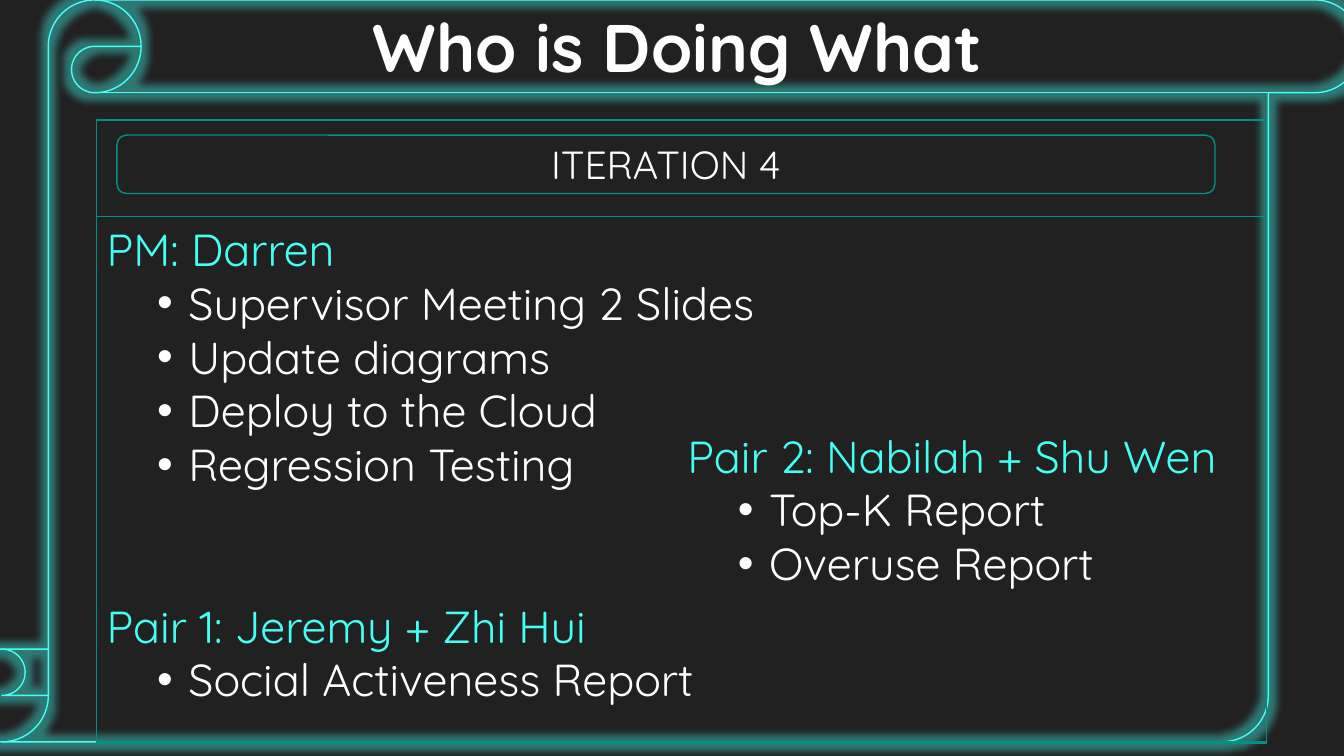
from dataclasses import dataclass

import pptx
import pptx.dml.color
import pptx.enum.shapes
import pptx.enum.text
import pptx.oxml
import pptx.util
from lxml import etree

Inches, Pt = pptx.util.Inches, pptx.util.Pt
SHAPE = pptx.enum.shapes.MSO_SHAPE
ALIGN = pptx.enum.text.PP_ALIGN
ANCHOR = pptx.enum.text.MSO_ANCHOR
A = "http://schemas.openxmlformats.org/drawingml/2006/main"


@dataclass(frozen=True)
class Theme:
    font: str = "Quicksand"
    background: str = "212121"
    text: str = "FFFFFF"
    accent: str = "44FFF5"
    frame: str = "00928A"
    title_size: int = 48
    heading_size: int = 28
    body_size: int = 32
    line_width: int = 1
    glow_radius: int = 11


THEME = Theme()


def rgb(value):
    return pptx.dml.color.RGBColor.from_string(value)


def add_outline(slide, preset, box, color):
    sp = slide.shapes.add_shape(preset, *map(Inches, box))
    sp.shadow.inherit = False
    sp.fill.background()
    sp.line.color.rgb = rgb(color)
    sp.line.width = Pt(THEME.line_width)
    return sp


def add_run(p, text, size, color, bold=False):
    r = p.add_run()
    r.text = text
    values = {"name": THEME.font, "size": Pt(size), "bold": bold}
    for name, value in values.items():
        setattr(r.font, name, value)
    r.font.color.rgb = rgb(color)


def add_bullet(p):
    pPr = p._p.get_or_add_pPr()
    pPr.set("marL", str(Inches(0.81)))
    pPr.set("indent", str(Inches(-0.31)))
    etree.SubElement(pPr, f"{{{A}}}buFont", typeface="Arial")
    etree.SubElement(pPr, f"{{{A}}}buChar", char="•")


def add_scroll(slide, box):
    sp = add_outline(slide, SHAPE.VERTICAL_SCROLL, box, THEME.accent)
    effects = sp._element.spPr.find(f"{{{A}}}effectLst")
    effects.append(pptx.oxml.parse_xml(
        f'<a:glow xmlns:a="{A}" rad="{Pt(THEME.glow_radius)}">'
        f'<a:srgbClr val="{THEME.accent}"><a:alpha val="40000"/></a:srgbClr></a:glow>'))


def add_title(slide, box, text):
    tf = slide.shapes.add_textbox(*map(Inches, box)).text_frame
    tf.word_wrap = False
    tf.auto_size = pptx.enum.text.MSO_AUTO_SIZE.SHAPE_TO_FIT_TEXT
    p = tf.paragraphs[0]
    p.alignment = ALIGN.CENTER
    add_run(p, text, THEME.title_size, THEME.text, bold=True)


def add_heading(slide, box, text):
    """Draw the header panel and the rounded label inside it."""
    left, top, width, height = box
    add_outline(slide, SHAPE.RECTANGLE, box, THEME.frame)
    label = (left + 0.2, top + 0.15, width - 0.71, 0.58)
    sp = add_outline(slide, SHAPE.ROUNDED_RECTANGLE, label, THEME.frame)
    sp.text_frame.vertical_anchor = ANCHOR.MIDDLE
    p = sp.text_frame.paragraphs[0]
    p.alignment = ALIGN.CENTER
    add_run(p, text, THEME.heading_size, THEME.text)


def fill_tasks(tf, anchor, groups):
    """Write each owner with a bulleted list of tasks."""
    tf.word_wrap = True
    tf.vertical_anchor = anchor
    p = None
    for owner, tasks in groups:
        first = p is None
        p = tf.paragraphs[0] if first else tf.add_paragraph()
        p.alignment = ALIGN.LEFT
        if not first:
            p.space_before = Pt(77)
        add_run(p, owner, THEME.body_size, THEME.accent)
        for task in tasks:
            p = tf.add_paragraph()
            p.alignment = ALIGN.LEFT
            p.level = 1
            add_bullet(p)
            add_run(p, task, THEME.body_size, THEME.text)


def add_task_panel(slide, box, groups):
    sp = add_outline(slide, SHAPE.RECTANGLE, box, THEME.frame)
    fill_tasks(sp.text_frame, ANCHOR.TOP, groups)


def add_task_text(slide, box, groups):
    sp = slide.shapes.add_textbox(*map(Inches, box))
    fill_tasks(sp.text_frame, ANCHOR.MIDDLE, groups)


def build_roles_slide(prs):
    slide = prs.slides.add_slide(prs.slide_layouts[6])
    slide.background.fill.solid()
    slide.background.fill.fore_color.rgb = rgb(THEME.background)
    add_scroll(slide, (-0.44, 0, 13.94, 7.36))
    add_title(slide, (3.55, 0, 6.34, 0.91), "Who is Doing What")
    add_heading(slide, (0.96, 1.19, 11.6, 6.17), "ITERATION 4")
    add_task_panel(slide, (0.96, 2.15, 11.6, 5.22), [
        ("PM: Darren", ["Supervisor Meeting 2 Slides", "Update diagrams",
                        "Deploy to the Cloud", "Regression Testing"]),
        ("Pair 1: Jeremy + Zhi Hui", ["Social Activeness Report"]),
    ])
    add_task_text(slide, (6.72, 3.46, 6.07, 3.18), [
        ("Pair 2: Nabilah + Shu Wen", ["Top-K Report", "Overuse Report"]),
    ])


def main():
    prs = pptx.Presentation()
    prs.slide_width, prs.slide_height = Inches(13.33), Inches(7.5)
    build_roles_slide(prs)
    prs.save("out.pptx")


if __name__ == "__main__":
    main()
